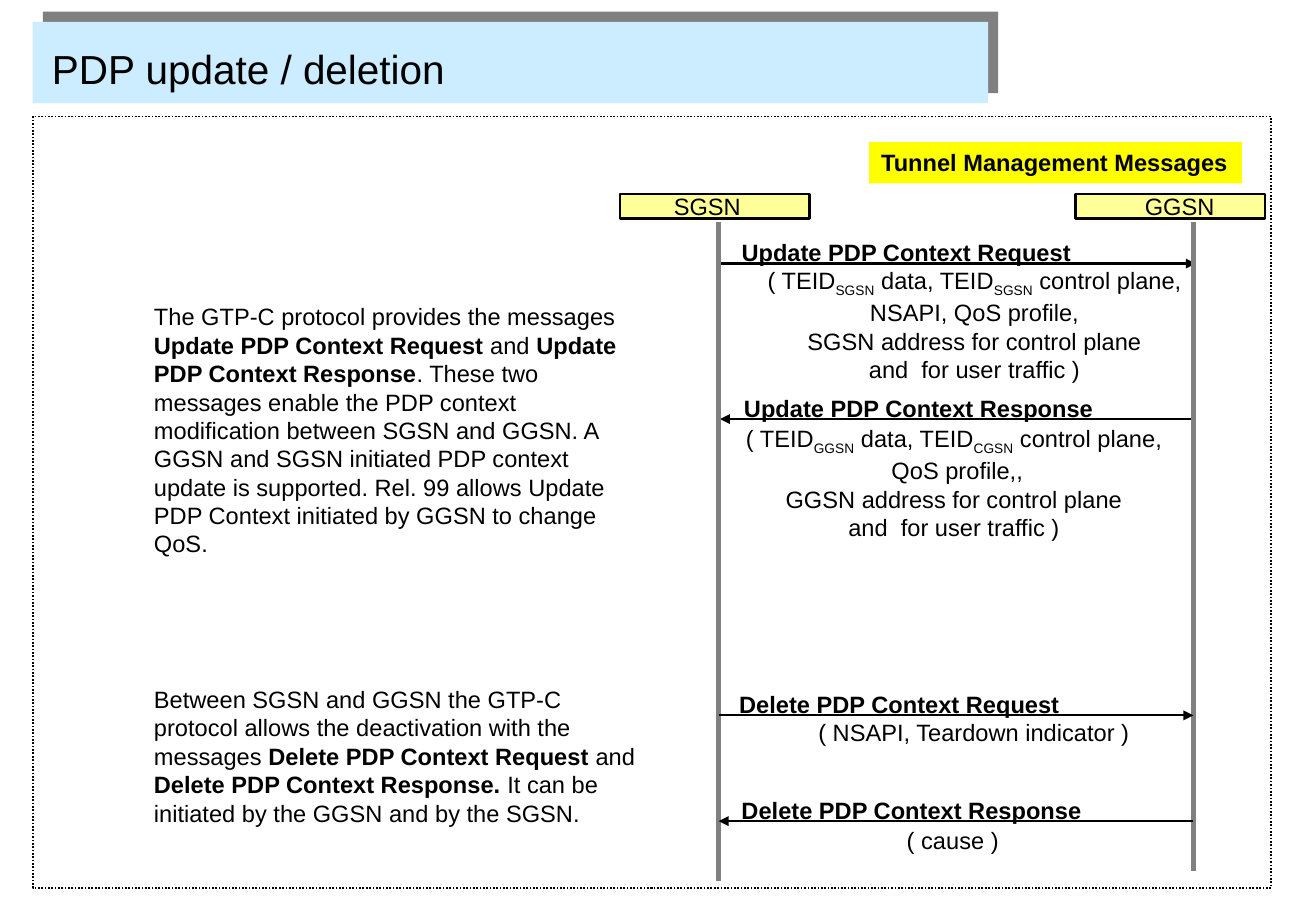
"""Build the slide on PDP context update and deletion between SGSN and GGSN."""
from dataclasses import dataclass

import lxml.etree
import pptx
import pptx.dml.color
import pptx.enum.dml
import pptx.enum.shapes
import pptx.enum.text
import pptx.oxml.ns
import pptx.util

RGBColor = pptx.dml.color.RGBColor
BLACK = RGBColor(0x00, 0x00, 0x00)
GREY = RGBColor(0x80, 0x80, 0x80)
SKY = RGBColor(0xCC, 0xEC, 0xFF)
CREAM = RGBColor(0xFF, 0xFF, 0x99)
YELLOW = RGBColor(0xFF, 0xFF, 0x00)

CELL = pptx.util.Inches(0.1)
SLIDE_COLUMNS, SLIDE_ROWS = 108.4, 75
LINE_ROWS = 3.4
LABEL_LIFT = 2.6
SHADOW_OFFSET = 0.83
NODE_TOP, NODE_WIDTH, NODE_HEIGHT = 16, 15.6, 2
LIFELINE_TOP = 18.3


@dataclass(frozen=True)
class Node:
    """A network node with its header box and lifeline."""
    name: str
    left: float
    name_left: float
    lifeline: float
    bottom: float


@dataclass(frozen=True)
class Message:
    """A message arrow with its label and parameters; bars enclose subscripts."""
    label: str
    label_left: float
    label_width: float
    sender: float
    receiver: float
    row: float
    parameters: tuple[str, ...]
    parameters_left: float
    parameters_top: float
    parameters_width: float
    parameters_height: float = LINE_ROWS


@dataclass(frozen=True)
class Explanation:
    """A paragraph beside the diagram; bars enclose bold words."""
    text: str
    top: float
    height: float


NODES = (
    Node("SGSN", 51.1, 55.5, 59.2, 72.5),
    Node("GGSN", 88.6, 94.3, 98.3, 71.7),
)
UPDATES = (
    Message("Update PDP Context Request", 60.1, 29.2, 59.3, 98.5, 21.7,
            ("( TEID|SGSN| data, TEID|SGSN| control plane, ", "NSAPI, QoS profile, ",
             "SGSN address for control plane ", "and  for user traffic ) "),
            62.2, 21.4, 36.7, 10.7),
    Message("Update PDP Context Response", 60.3, 30.8, 98.5, 59.3, 34.5,
            ("( TEID|GGSN| data, TEID|CGSN| control plane, ", " QoS profile,, ",
             "GGSN address for control plane ", "and  for user traffic ) "),
            60.4, 34.4, 36.9, 10.7),
)
DELETIONS = (
    Message("Delete PDP Context Request", 59.9, 28.4, 59.2, 98.3, 58.9,
            ("( NSAPI, Teardown indicator ) ",), 66.3, 58.6, 28.4),
    Message("Delete PDP Context Response", 60.1, 30, 98.3, 59.2, 67.6,
            ("( cause ) ",), 73.7, 67.5, 10.1),
)
EXPLANATIONS = (
    Explanation(
        "The GTP-C protocol provides the messages |Update PDP Context Request |and "
        "|Update PDP Context Response|. These two messages enable the PDP context "
        "modification between SGSN and GGSN. A GGSN and SGSN initiated PDP context "
        "update is supported. Rel. 99 allows Update PDP Context initiated by GGSN "
        "to change QoS.", 24.4, 22),
    Explanation(
        "Between SGSN and GGSN the GTP-C protocol allows the deactivation with the "
        "messages |Delete PDP Context Request |and |Delete PDP Context Response.| "
        "It can be initiated by the GGSN and by the SGSN.", 55.9, 12.7),
)


def grid(*lengths: float) -> list[int]:
    """Turn grid columns or rows into slide units."""
    return [round(length * CELL) for length in lengths]


def write(slide, lines: tuple[str, ...], left: float, top: float, width: float,
          height: float = LINE_ROWS, *, size: float = 14, bold: bool = False,
          subscript: bool = False, centred: bool = False, wrap: bool = False,
          middle: bool = False, inset: bool = True, fill: RGBColor | None = None):
    """Add text whose parts between bars are subscript or bold."""
    box = slide.shapes.add_textbox(*grid(left, top, width, height))
    if fill is not None:
        box.fill.solid()
        box.fill.fore_color.rgb = fill
    frame = box.text_frame
    frame.word_wrap = wrap
    if middle:
        frame.vertical_anchor = pptx.enum.text.MSO_ANCHOR.MIDDLE
    else:
        frame.auto_size = pptx.enum.text.MSO_AUTO_SIZE.SHAPE_TO_FIT_TEXT
    if not inset:
        frame.margin_left = frame.margin_right = 0
        frame.margin_top = frame.margin_bottom = 0
    for number, line in enumerate(lines):
        paragraph = frame.add_paragraph() if number else frame.paragraphs[0]
        paragraph.alignment = (pptx.enum.text.PP_ALIGN.CENTER if centred
                               else pptx.enum.text.PP_ALIGN.LEFT)
        for part, text in enumerate(line.split("|")):
            marked = part % 2 == 1
            run = paragraph.add_run()
            run.text = text
            run.font.name = "Arial"
            run.font.size = pptx.util.Pt(size)
            run.font.bold = bold or (marked and not subscript)
            run.font.color.rgb = BLACK
            if marked and subscript:
                run._r.get_or_add_rPr().set("baseline", "-25000")


def draw_box(slide, left: float, top: float, width: float, height: float, *,
             fill: RGBColor | None = None, line_width: float = 0,
             dotted: bool = False) -> None:
    """Add a rectangle with an optional fill and black outline."""
    box = slide.shapes.add_shape(pptx.enum.shapes.MSO_SHAPE.RECTANGLE,
                                 *grid(left, top, width, height))
    box.shadow.inherit = False
    if fill is None:
        box.fill.background()
    else:
        box.fill.solid()
        box.fill.fore_color.rgb = fill
    if not line_width:
        box.line.fill.background()
        return
    box.line.color.rgb = BLACK
    box.line.width = pptx.util.Pt(line_width)
    if dotted:
        box.line.dash_style = pptx.enum.dml.MSO_LINE.ROUND_DOT


def draw_line(slide, x1: float, y1: float, x2: float, y2: float, *,
              colour: RGBColor, width: float, arrow: bool = False) -> None:
    """Add a straight line, with an arrowhead at its end if wanted."""
    line = slide.shapes.add_connector(pptx.enum.shapes.MSO_CONNECTOR.STRAIGHT,
                                      *grid(x1, y1, x2, y2))
    line.line.color.rgb = colour
    line.line.width = pptx.util.Pt(width)
    qn = pptx.oxml.ns.qn
    if arrow:
        lxml.etree.SubElement(line.line._get_or_add_ln(), qn("a:tailEnd"), type="triangle")
    lxml.etree.SubElement(line._element.spPr, qn("a:effectLst"))


def draw_message(slide, message: Message) -> None:
    """Add one message arrow with its texts."""
    draw_line(slide, message.sender, message.row, message.receiver, message.row,
              colour=BLACK, width=1.25, arrow=True)
    write(slide, (message.label,), message.label_left, message.row - LABEL_LIFT,
          message.label_width, bold=True)
    write(slide, message.parameters, message.parameters_left, message.parameters_top,
          message.parameters_width, message.parameters_height,
          subscript=True, centred=True)


def draw_node(slide, node: Node) -> None:
    """Add one node header with its lifeline."""
    draw_box(slide, node.left, NODE_TOP, NODE_WIDTH, NODE_HEIGHT,
             fill=CREAM, line_width=1.39)
    write(slide, (node.name,), node.name_left, 15.8, 5.8, 2.3, inset=False)
    draw_line(slide, node.lifeline, LIFELINE_TOP, node.lifeline, node.bottom,
              colour=GREY, width=3)


def main() -> None:
    """Build and save the presentation."""
    deck = pptx.Presentation()
    deck.slide_width, deck.slide_height = grid(SLIDE_COLUMNS, SLIDE_ROWS)
    slide = deck.slides.add_slide(deck.slide_layouts[6])
    draw_box(slide, 2.7 + SHADOW_OFFSET, 1.8 - SHADOW_OFFSET, 78.7, 6.7, fill=GREY)
    draw_box(slide, 2.7, 1.8, 78.7, 6.7, fill=SKY)
    draw_box(slide, 2.7, 9.6, 102, 63.5, line_width=1, dotted=True)
    write(slide, ("PDP update / deletion",), 3.3, 2.8, 78.3, 5.6,
          size=24, wrap=True, middle=True)
    for update in UPDATES:
        draw_message(slide, update)
    for node in NODES:
        draw_node(slide, node)
    for deletion in DELETIONS:
        draw_message(slide, deletion)
    for explanation in EXPLANATIONS:
        write(slide, (explanation.text,), 11.7, explanation.top, 41.7,
              explanation.height, wrap=True)
    write(slide, ("Tunnel Management Messages",), 71.6, 11.7, 30.7,
          bold=True, fill=YELLOW)
    deck.save("out.pptx")


if __name__ == "__main__":
    main()
